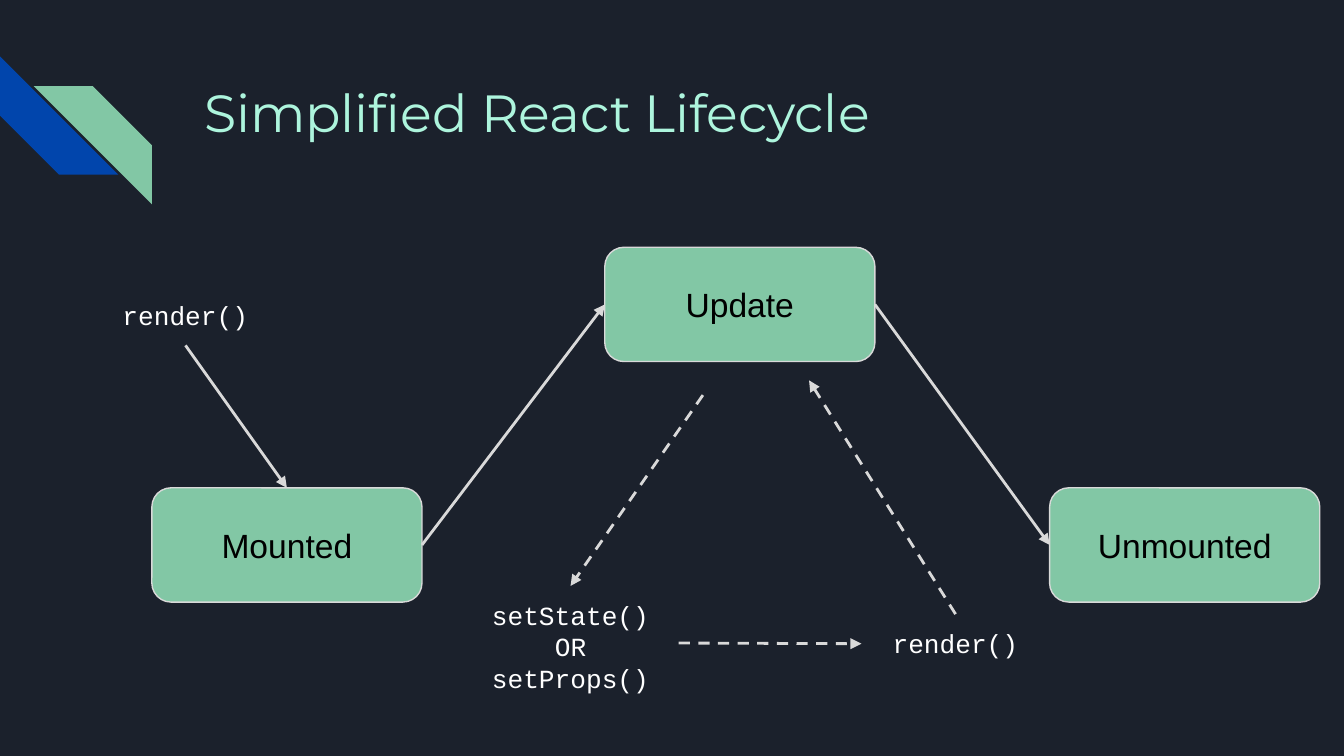
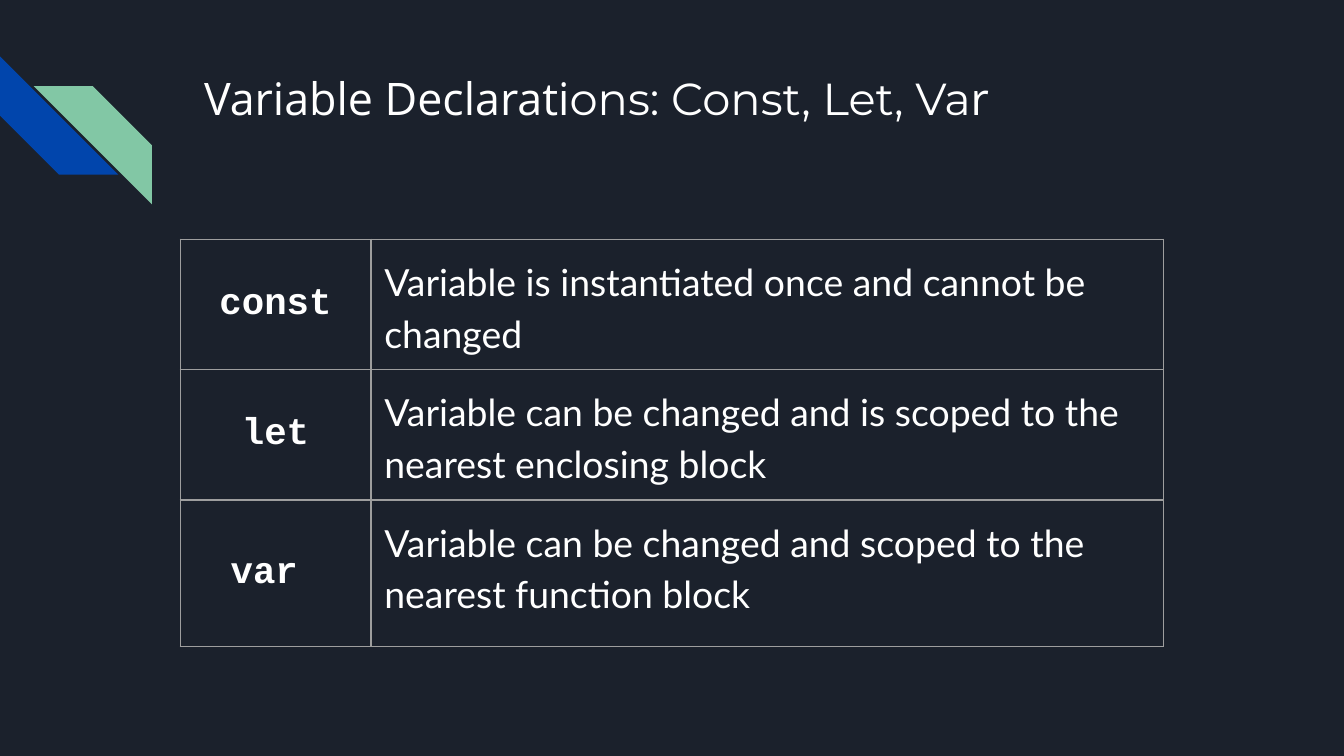
from lxml.etree import SubElement
from pptx import Presentation
from pptx.dml.color import RGBColor
from pptx.enum.dml import MSO_LINE_DASH_STYLE as Dash
from pptx.enum.shapes import MSO_CONNECTOR as Connector, MSO_SHAPE as Preset
from pptx.enum.text import MSO_ANCHOR as Anchor, PP_ALIGN as Align
from pptx.oxml import parse_xml
from pptx.oxml.ns import nsdecls, qn
from pptx.util import Inches, Pt

COLORS = {
    "background": "1B212C", "blue": "0145AC", "green": "82C7A5",
    "mint": "ADF5DD", "white": "FFFFFF", "black": "000000",
    "line": "D9D9D9", "border": "9E9E9E",
}
CODE_FONT = "Courier New"
TOP, LEFT, BOTTOM, RIGHT = range(4)  # connection sites of a rectangle
COLUMNS, ROWS = 100, 56.25
STATE_WIDTH, STATE_HEIGHT = 20.1, 8.5


def color(name):
    return RGBColor.from_string(COLORS[name])


def grid(*lengths):
    """Turn grid columns or rows, a tenth of an inch each, into slide lengths."""
    return [Inches(length / 10) for length in lengths]


class Deck:
    def __init__(self):
        self.presentation = Presentation()
        self.presentation.slide_width, self.presentation.slide_height = grid(COLUMNS, ROWS)
        self.slide = None

    def add_slide(self):
        self.slide = self.presentation.slides.add_slide(self.presentation.slide_layouts[6])
        fill = self.slide.background.fill
        fill.solid()
        fill.fore_color.rgb = color("background")
        self.stripe(0, 4.2, 270, "blue")
        self.stripe(2.5, 6.4, 90, "green")

    def preset(self, kind, box, fill, adjustment):
        shape = self.slide.shapes.add_shape(kind, *grid(*box))
        shape.shadow.inherit = False
        shape.adjustments[0] = adjustment
        shape.fill.solid()
        shape.fill.fore_color.rgb = color(fill)
        shape.line.fill.background()
        return shape

    def stripe(self, left, top, rotation, fill):
        shape = self.preset(Preset.DIAGONAL_STRIPE, (left, top, 8.8, 8.8), fill, 0.5)
        shape.rotation = rotation

    def fill_text(self, frame, lines, size, ink, align=Align.LEFT, spacing=None, bold=False):
        """Fill a text frame; each line is a list of (text, font) runs."""
        frame.word_wrap = True
        for index, runs in enumerate(lines):
            paragraph = frame.add_paragraph() if index else frame.paragraphs[0]
            paragraph.alignment = align
            if spacing:
                paragraph.line_spacing = spacing
            for text, font in runs:
                run = paragraph.add_run()
                run.text = text
                run.font.name = font
                run.font.size = Pt(size)
                run.font.bold = bold
                run.font.color.rgb = color(ink)

    def pad(self, holder):
        """Give a text frame or table cell the same margin on all sides."""
        holder.margin_left = holder.margin_right = Inches(0.1)
        holder.margin_top = holder.margin_bottom = Inches(0.1)

    def text(self, box, lines, size, ink, **style):
        shape = self.slide.shapes.add_textbox(*grid(*box))
        self.pad(shape.text_frame)
        self.fill_text(shape.text_frame, lines, size, ink, **style)
        return shape

    def title(self, runs, size, ink, spacing=None):
        self.text((14.2, 4.3, 77, 10), [runs], size, ink, spacing=spacing)

    def code(self, box, *lines):
        runs = [[(line, CODE_FONT)] for line in lines]
        return self.text(box, runs, 14, "white", align=Align.CENTER)

    def state(self, name, left, top):
        box = (left, top, STATE_WIDTH, STATE_HEIGHT)
        shape = self.preset(Preset.ROUNDED_RECTANGLE, box, "green", 0.167)
        shape.line.color.rgb = color("line")
        shape.line.width = Pt(0.75)
        frame = shape.text_frame
        self.pad(frame)
        frame.vertical_anchor = Anchor.MIDDLE
        self.fill_text(frame, [[(name, "Arial")]], 18, "black", align=Align.CENTER)
        return shape

    def arrow(self, start, end, dashed=False):
        """Draw an arrow; each end is a (shape, site) pair or a (column, row) point."""
        connector = self.slide.shapes.add_connector(Connector.STRAIGHT, 0, 0, 0, 0)
        if isinstance(start[0], (int, float)):
            connector.begin_x, connector.begin_y = grid(*start)
        else:
            connector.begin_connect(*start)
        if isinstance(end[0], (int, float)):
            connector.end_x, connector.end_y = grid(*end)
        else:
            connector.end_connect(*end)
        connector.line.color.rgb = color("line")
        connector.line.width = Pt(1.5)
        if dashed:
            connector.line.dash_style = Dash.DASH
        SubElement(connector.line._get_or_add_ln(), qn("a:tailEnd"), type="triangle")
        SubElement(connector._element.spPr, qn("a:effectLst"))

    def border(self, cell):
        properties = cell._tc.get_or_add_tcPr()
        for index, side in enumerate("LRTB"):
            properties.insert(index, parse_xml(
                f'<a:ln{side} {nsdecls("a")} w="{Pt(0.75)}"><a:solidFill>'
                f'<a:srgbClr val="{COLORS["border"]}"/></a:solidFill></a:ln{side}>'))

    def table(self, left, top, widths, heights, rows):
        """Draw a table of keywords and their meanings."""
        frame = self.slide.shapes.add_table(
            len(heights), len(widths), *grid(left, top, sum(widths), sum(heights)))
        table = frame.table
        table.first_row = table.horz_banding = False
        for column, width in zip(table.columns, grid(*widths)):
            column.width = width
        for row, height, (keyword, meaning) in zip(table.rows, grid(*heights), rows):
            row.height = height
            for cell in row.cells:
                self.pad(cell)
                cell.fill.background()
                self.border(cell)
            keyword_cell, meaning_cell = row.cells
            keyword_cell.vertical_anchor = Anchor.MIDDLE
            self.fill_text(keyword_cell.text_frame, [[(keyword, CODE_FONT)]], 20, "white",
                           align=Align.CENTER, bold=True)
            self.fill_text(meaning_cell.text_frame, [[(meaning, "Lato")]], 20, "white",
                           spacing=1.15)


def lifecycle_slide(deck):
    deck.add_slide()
    deck.title([("Simplified React Lifecycle", "Montserrat")], 28, "mint", spacing=1.15)

    mounted = deck.state("Mounted", 11.3, 36.3)
    update = deck.state("Update", 45, 18.4)
    unmounted = deck.state("Unmounted", 78.1, 36.3)
    first_render = deck.code((0, 21.3, 27.6, 4.4), "render()")
    setters = deck.code((34.4, 43.6, 16.1, 8.5), "setState()", "OR", "setProps()")
    next_render = deck.code((64.1, 45.7, 14, 4.4), "render()")

    deck.arrow((first_render, BOTTOM), (mounted, TOP))
    deck.arrow((mounted, RIGHT), (update, LEFT))
    deck.arrow((update, RIGHT), (unmounted, LEFT))
    deck.arrow((52.3, 29.4), (setters, TOP), dashed=True)
    deck.arrow((setters, RIGHT), (next_render, LEFT), dashed=True)
    deck.arrow((next_render, TOP), (60.2, 28.3), dashed=True)


def declarations_slide(deck):
    deck.add_slide()
    deck.table(13.4, 17.8, (14.2, 59), (7.2, 7.8, 10.9), [
        ("const", "Variable is instantiated once and cannot be changed"),
        ("let", "Variable can be changed and is scoped to the nearest enclosing block"),
        ("var ", "Variable can be changed and scoped to the nearest function block"),
    ])
    deck.title([("Variable Declarati", "Open Sans"), ("ons: Const, Let, Va", "Montserrat"),
                ("r", "Open Sans")], 24, "white")


def main():
    deck = Deck()
    lifecycle_slide(deck)
    declarations_slide(deck)
    deck.presentation.save("out.pptx")


if __name__ == "__main__":
    main()
